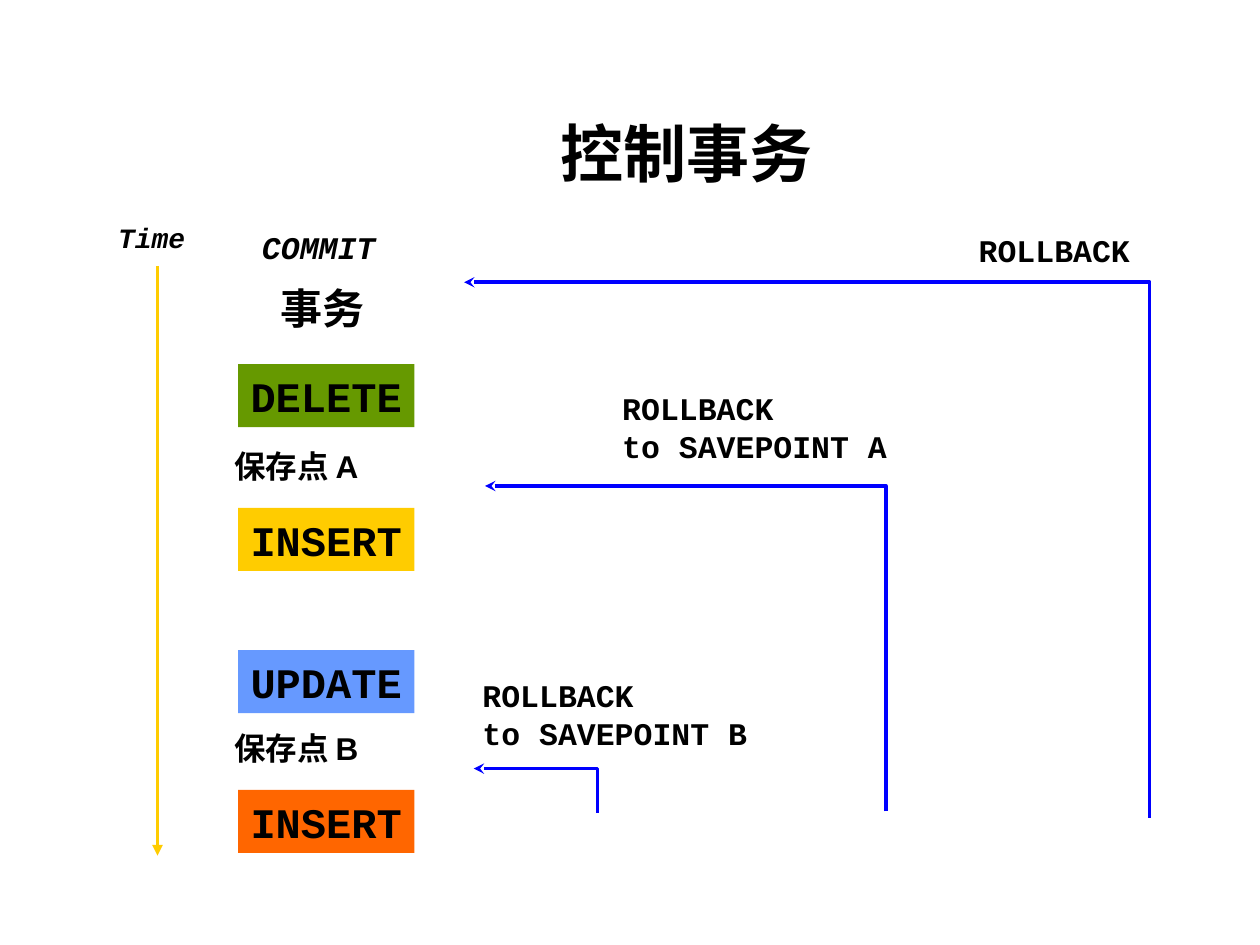
from dataclasses import dataclass

from lxml import etree
from pptx import Presentation
from pptx.dml.color import RGBColor
from pptx.enum.shapes import MSO_CONNECTOR, MSO_SHAPE
from pptx.enum.text import MSO_ANCHOR, PP_ALIGN
from pptx.oxml.ns import qn
from pptx.util import Pt

RECT = MSO_SHAPE.RECTANGLE
STRAIGHT = MSO_CONNECTOR.STRAIGHT
TOP = MSO_ANCHOR.TOP
LEFT, CENTER = PP_ALIGN.LEFT, PP_ALIGN.CENTER

BLACK = RGBColor(0x00, 0x00, 0x00)
GREEN = RGBColor(0x66, 0x99, 0x00)
YELLOW = RGBColor(0xFF, 0xCC, 0x00)
SKY = RGBColor(0x66, 0x99, 0xFF)
ORANGE = RGBColor(0xFF, 0x66, 0x00)
BLUE = RGBColor(0x00, 0x00, 0xFF)

SANS, MONO, CJK = "Arial", "Courier New", "Noto Sans CJK SC"
LINE_WIDTH = 2


@dataclass
class Label:
    text: str
    left: float
    top: float
    width: float
    height: float
    size: float = 18
    font: str = MONO
    italic: bool = False
    align: PP_ALIGN = LEFT


@dataclass
class Statement:
    text: str
    top: float
    color: RGBColor


@dataclass
class Rollback:
    x: float
    bottom: float
    top: float
    tip: float


LABELS = [
    Label("控制事务", 89.3, 61.9, 606.2, 113, 36, CJK, align=CENTER),
    Label("保存点 B", 126.7, 413.3, 161.3, 28.8, font=SANS),
    Label("保存点 A", 126.7, 252, 161.3, 28.8, font=SANS),
    Label("COMMIT", 142.6, 126.7, 102.2, 28.8, italic=True),
    Label("Time", 60.5, 122.4, 57.6, 26.6, 16, italic=True),
    Label("事务", 153.4, 157.7, 62.6, 36, 24, SANS),
    Label("ROLLBACK\nto SAVEPOINT B", 268.6, 383, 165.6, 50.4),
    Label("ROLLBACK\nto SAVEPOINT A", 348.5, 218.9, 165.6, 50.4),
    Label("ROLLBACK", 552.2, 128.2, 100.8, 28.8),
]
STATEMENTS = [
    Statement("DELETE", 208.1, GREEN),
    Statement("INSERT", 290.2, YELLOW),
    Statement("UPDATE", 371.6, SKY),
    Statement("INSERT", 451.4, ORANGE),
]
ROLLBACKS = [
    Rollback(341.3, 464.4, 439.2, 270.7),
    Rollback(506.2, 463.7, 277.7, 277.2),
    Rollback(657, 467.3, 161.3, 265.2),
]


def write(tf, label: Label) -> None:
    frame_format = {
        "word_wrap": True,
        "vertical_anchor": TOP,
        "margin_left": Pt(7.2),
        "margin_right": Pt(0 if label.align == LEFT else 7.2),
        "margin_top": Pt(3.6),
        "margin_bottom": Pt(3.6),
    }
    for name, value in frame_format.items():
        setattr(tf, name, value)
    font_format = {
        "size": Pt(label.size),
        "name": label.font,
        "bold": True,
        "italic": label.italic,
    }
    for i, line in enumerate(label.text.split("\n")):
        p = tf.add_paragraph() if i else tf.paragraphs[0]
        p.alignment = label.align
        r = p.add_run()
        r.text = line
        for name, value in font_format.items():
            setattr(r.font, name, value)
        r.font.color.rgb = BLACK
        ea = etree.SubElement(r.font._element, qn("a:ea"))
        ea.set("typeface", CJK)


def add_label(s, label: Label) -> None:
    box = (label.left, label.top, label.width, label.height)
    sp = s.shapes.add_textbox(*map(Pt, box))
    write(sp.text_frame, label)


def add_statement(s, item: Statement) -> None:
    label = Label(item.text, 136.1, item.top, 100.8, 36, 24)
    box = (label.left, label.top, label.width, label.height)
    sp = s.shapes.add_shape(RECT, *map(Pt, box))
    sp.shadow.inherit = False
    sp.fill.solid()
    sp.fill.fore_color.rgb = item.color
    sp.line.fill.background()
    write(sp.text_frame, label)


def style_arrow(sp, color: RGBColor, head: str) -> None:
    sp.line.color.rgb = color
    sp.line.width = Pt(LINE_WIDTH)
    ln = sp.line._get_or_add_ln()
    etree.SubElement(ln, qn("a:round"))
    etree.SubElement(ln, qn("a:tailEnd")).set("type", head)


def add_time_arrow(s) -> None:
    sp = s.shapes.add_connector(STRAIGHT, Pt(90), Pt(151.9), Pt(90), Pt(488.9))
    style_arrow(sp, YELLOW, "triangle")
    etree.SubElement(sp._element.spPr, qn("a:effectLst"))


def add_rollback(s, item: Rollback) -> None:
    fb = s.shapes.build_freeform(Pt(item.x), Pt(item.bottom))
    corner = (Pt(item.x), Pt(item.top))
    tip = (Pt(item.tip), Pt(item.top))
    fb.add_line_segments([corner, tip], close=False)
    sp = fb.convert_to_shape()
    sp.shadow.inherit = False
    sp.fill.background()
    style_arrow(sp, BLUE, "stealth")


def main() -> None:
    prs = Presentation()
    prs.slide_width, prs.slide_height = Pt(720), Pt(540)
    s = prs.slides.add_slide(prs.slide_layouts[6])
    for label in LABELS:
        add_label(s, label)
    for statement in STATEMENTS:
        add_statement(s, statement)
    add_time_arrow(s)
    for rollback in ROLLBACKS:
        add_rollback(s, rollback)
    prs.save("out.pptx")


if __name__ == "__main__":
    main()
